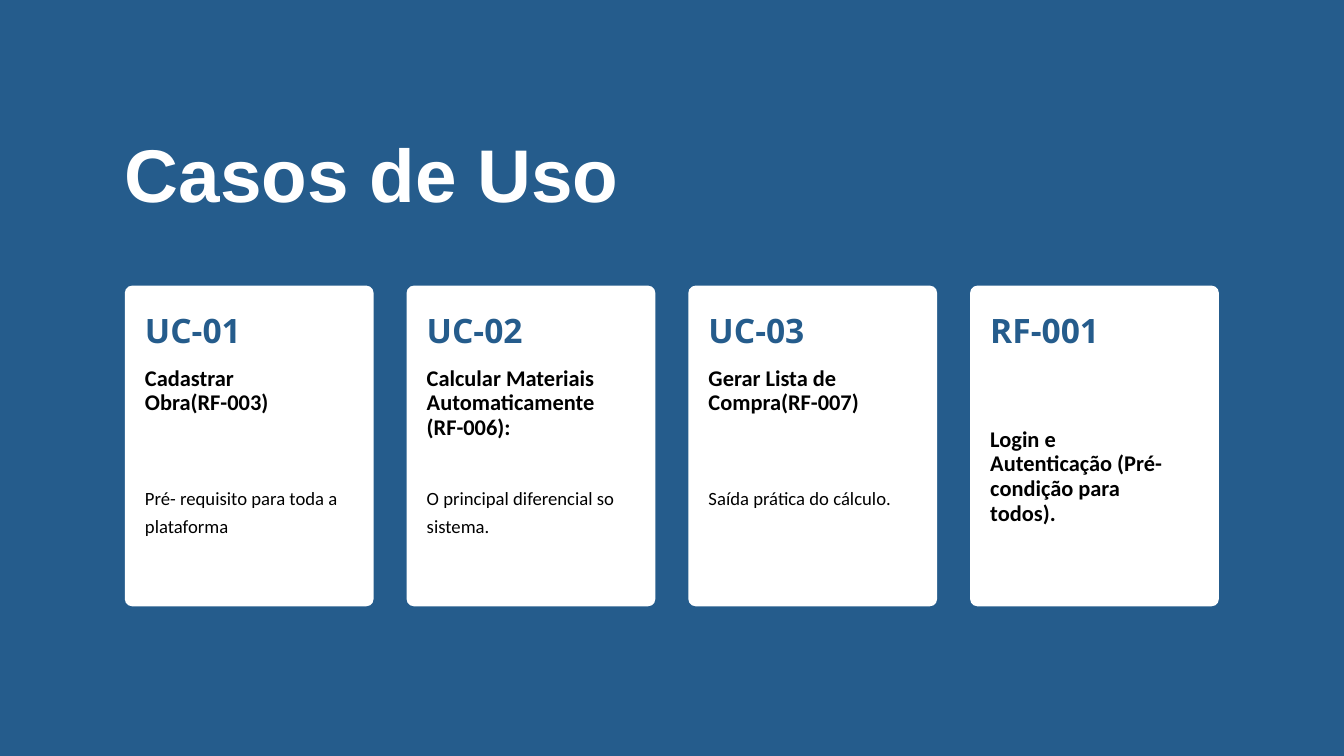
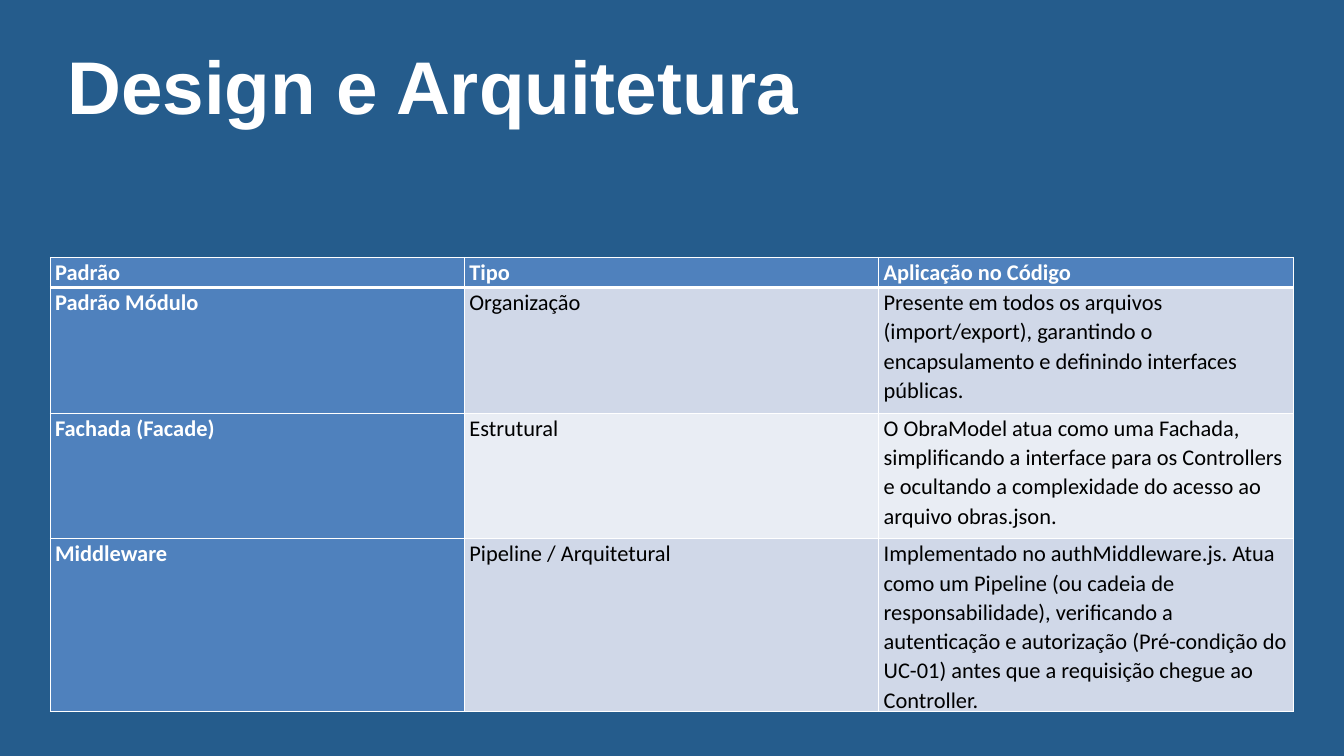
"""Builds two slides: the use cases as cards and the architecture patterns as a table."""
from lxml import etree
from pptx import Presentation
from pptx.dml.color import RGBColor
from pptx.enum.shapes import MSO_SHAPE as SHAPE
from pptx.enum.text import MSO_AUTO_SIZE as AUTO
from pptx.oxml.ns import qn
from pptx.util import Cm, Pt

BLUE, WHITE, BLACK = "255C8C", "FFFFFF", "000000"
HEADER, BANDS = "4F81BD", ("D0D8E8", "E9EDF4")

CODE_STYLE = dict(size=36, font="Open Sans", color=BLUE, bold=True)
NAME_STYLE = dict(size=24, font="Calibri", color=BLACK, bold=True)
NOTE_STYLE = dict(size=20, font="Calibri", color=BLACK)
TITLE_STYLE = dict(size=80, font="Arial", color=WHITE, bold=True)

# code, name, name top, name width, name height, note, note height
USE_CASES = [
    ("UC-01", "Cadastrar Obra(RF-003)", 13.84, 6.02, 1.88,
     "Pré- requisito para toda a plataforma", 2.03),
    ("UC-02", "Calcular Materiais Automaticamente (RF-006):", 13.84, 7.72, 2.79,
     "O principal diferencial so sistema.", 2.03),
    ("UC-03", "Gerar Lista de Compra(RF-007)", 13.84, 6.02, 1.88,
     "Saída prática do cálculo.", 0.99),
    ("RF-001", "Login e Autenticação (Pré-condição para todos).", 16.15, 6.53, 3.73,
     None, None),
]
CARD_LEFT, CARD_TOP, CARD_W, CARD_H = 4.72, 10.8, 9.4, 12.12
CARD_STEP, CARD_PAD, CARD_RADIUS = 10.65, 0.76, 0.27

PATTERNS = [
    ("Padrão", "Tipo", "Aplicação no Código"),
    ("Padrão Módulo", "Organização",
     "Presente em todos os arquivos (import/export), garantindo o encapsulamento "
     "e definindo interfaces públicas."),
    ("Fachada (Facade)", "Estrutural",
     "O ObraModel atua como uma Fachada, simplificando a interface para os Controllers "
     "e ocultando a complexidade do acesso ao arquivo obras.json."),
    ("Middleware", "Pipeline / Arquitetural",
     "Implementado no authMiddleware.js. Atua como um Pipeline (ou cadeia de "
     "responsabilidade), verificando a autenticação e autorização (Pré-condição do "
     "UC-01) antes que a requisição chegue ao Controller."),
]
COL_W, ROW_HEIGHTS = 15.66, (1.14, 4.75, 4.75, 5.94)


def rgb(color):
    return RGBColor.from_string(color)


def add_run(p, text, size, font, color, bold=False):
    r = p.add_run()
    r.text = text
    r.font.size, r.font.name, r.font.bold = Pt(size), font, bold
    r.font.color.rgb = rgb(color)


def add_text(s, text, left, top, width, height, spacing, style):
    tf = s.shapes.add_textbox(Cm(left), Cm(top), Cm(width), Cm(height)).text_frame
    tf.word_wrap, tf.auto_size = True, AUTO.SHAPE_TO_FIT_TEXT
    tf.margin_left = tf.margin_right = tf.margin_top = tf.margin_bottom = 0
    p = tf.paragraphs[0]
    p.line_spacing = Pt(spacing)
    add_run(p, text, **style)


def add_slide(prs):
    s = prs.slides.add_slide(prs.slide_layouts[6])
    s.background.fill.solid()
    s.background.fill.fore_color.rgb = rgb(BLUE)
    return s


def add_card(s, left):
    sp = s.shapes.add_shape(SHAPE.ROUNDED_RECTANGLE, Cm(left), Cm(CARD_TOP),
                            Cm(CARD_W), Cm(CARD_H))
    sp.adjustments[0] = CARD_RADIUS / CARD_W
    sp.shadow.inherit = False
    sp.fill.solid()
    sp.fill.fore_color.rgb = rgb(WHITE)
    sp.line.fill.background()


def add_border(cell, side, width):
    ln = etree.SubElement(cell._tc.get_or_add_tcPr(), qn(f"a:ln{side}"), w=str(Pt(width)))
    fill = etree.SubElement(ln, qn("a:solidFill"))
    etree.SubElement(fill, qn("a:srgbClr"), val=WHITE)


def fill_cell(cell, text, row, col):
    is_label = row == 0 or col == 0
    cell.margin_left = cell.margin_right = Cm(0.18)
    cell.margin_top = cell.margin_bottom = 0
    for side in "LRTB":
        thick = (row, side) in ((0, "B"), (1, "T"))
        add_border(cell, side, 3 if thick else 1)
    cell.fill.solid()
    cell.fill.fore_color.rgb = rgb(HEADER if is_label else BANDS[(row - 1) % 2])
    p = cell.text_frame.paragraphs[0]
    p.line_spacing, p.space_after = 1.07, Pt(8)
    add_run(p, text, 24, "Calibri", WHITE if is_label else BLACK, is_label)


def build_use_cases(prs):
    s = add_slide(prs)
    add_text(s, "Casos de Uso", CARD_LEFT, 5.41, 28.58, 2.97, 80, TITLE_STYLE)
    for i, (code, name, name_top, name_w, name_h, note, note_h) in enumerate(USE_CASES):
        left = CARD_LEFT + i * CARD_STEP
        add_card(s, left)
        left += CARD_PAD
        add_text(s, code, left, 11.25, 4.5, 1.85, 56.5, CODE_STYLE)
        add_text(s, name, left, name_top, name_w, name_h, 26.4, NAME_STYLE)
        if note:
            add_text(s, note, left, 18.2, 7.97, note_h, 30, NOTE_STYLE)


def build_architecture(prs):
    s = add_slide(prs)
    add_text(s, "Design e Arquitetura", 2.54, 1.78, 36.83, 3.2, 88, TITLE_STYLE)
    cols = len(PATTERNS[0])
    table = s.shapes.add_table(len(PATTERNS), cols, Cm(1.9), Cm(9.73),
                               Cm(COL_W * cols), Cm(sum(ROW_HEIGHTS))).table
    table.horz_banding = False
    for column in table.columns:
        column.width = Cm(COL_W)
    for row, (texts, height) in enumerate(zip(PATTERNS, ROW_HEIGHTS)):
        table.rows[row].height = Cm(height)
        for col, text in enumerate(texts):
            fill_cell(table.cell(row, col), text, row, col)


def main():
    prs = Presentation()
    prs.slide_width, prs.slide_height = Cm(50.8), Cm(28.58)
    build_use_cases(prs)
    build_architecture(prs)
    prs.save("out.pptx")


if __name__ == "__main__":
    main()
